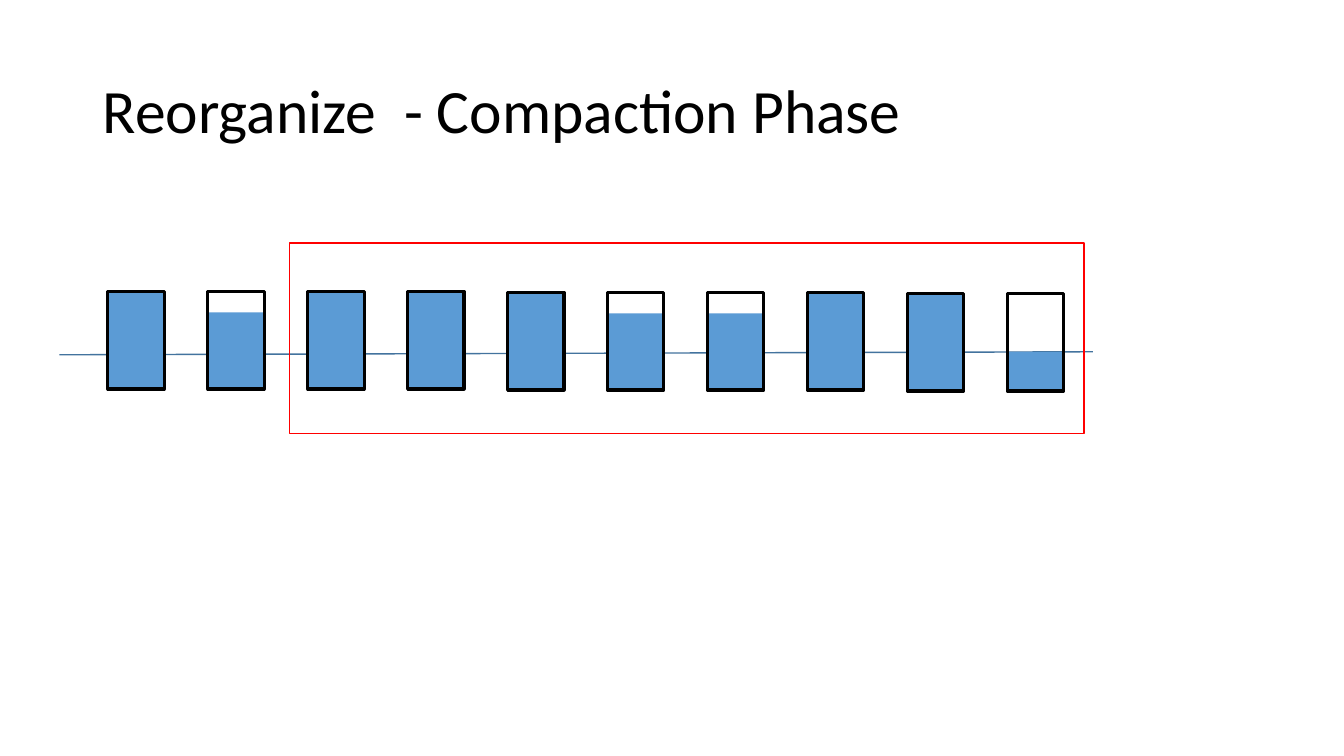
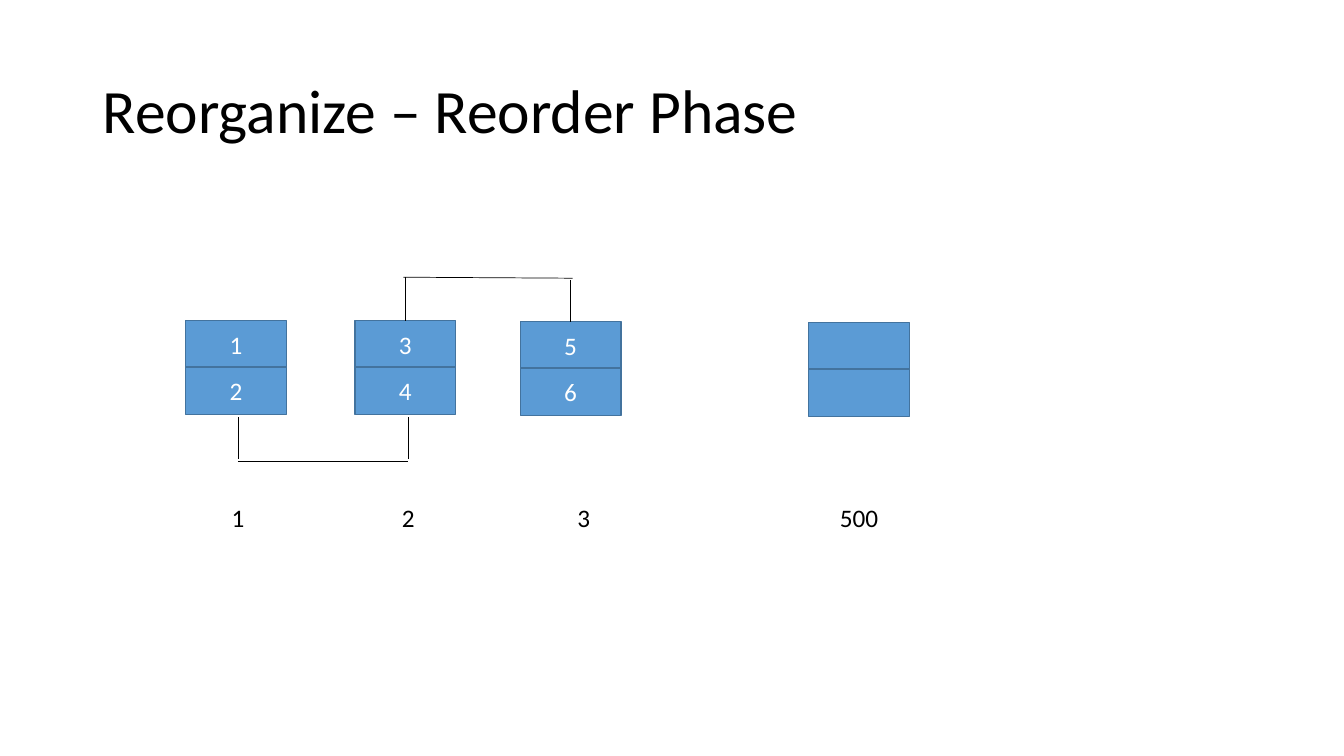
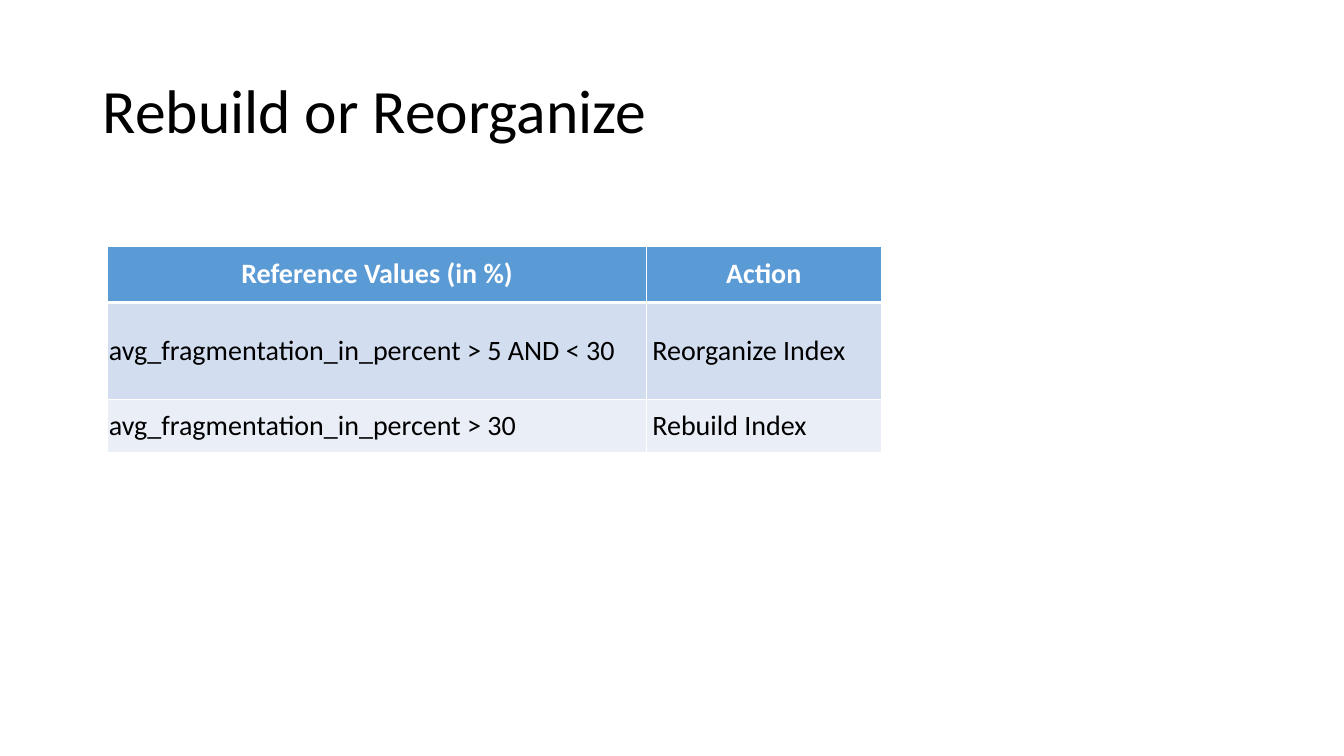
from dataclasses import dataclass

from lxml import etree
from pptx import Presentation
from pptx.dml.color import RGBColor as RGB
from pptx.enum.shapes import MSO_CONNECTOR as CONNECTOR, MSO_SHAPE as SHAPE
from pptx.enum.text import MSO_ANCHOR as ANCHOR, PP_ALIGN as ALIGN
from pptx.oxml.ns import qn
from pptx.util import Inches, Pt


@dataclass(frozen=True)
class Theme:
    font: str = "Calibri"
    title_size: int = 44
    table_size: int = 20
    body_size: int = 18
    black: str = "000000"
    white: str = "FFFFFF"
    blue: str = "5B9BD5"
    edge: str = "43739E"
    red: str = "FF0000"
    bands: tuple = ("D2DEEF", "EAEFF7")


class Deck:
    def __init__(self, theme):
        self.theme = theme
        self.prs = Presentation()
        self.prs.slide_width = Inches(13.33)
        self.prs.slide_height = Inches(7.5)
        self.s = None

    def slide(self, title):
        self.s = self.prs.slides.add_slide(self.prs.slide_layouts[6])
        p = self.text(title, 0.92, 0.4, 11.5, 1.45, self.theme.title_size,
                      align=ALIGN.LEFT, anchor=ANCHOR.MIDDLE)
        p.line_spacing = 0.9

    def add_text(self, p, text, size, color, align, bold=False):
        p.alignment = align
        r = p.add_run()
        r.text = text
        r.font.name = self.theme.font
        r.font.size = Pt(size)
        r.font.bold = bold
        r.font.color.rgb = RGB.from_string(color)

    def text(self, text, left, top, width, height, size,
             align=ALIGN.CENTER, anchor=ANCHOR.TOP):
        sp = self.s.shapes.add_textbox(Inches(left), Inches(top),
                                       Inches(width), Inches(height))
        tf = sp.text_frame
        tf.word_wrap = True
        tf.vertical_anchor = anchor
        p = tf.paragraphs[0]
        self.add_text(p, text, size, self.theme.black, align)
        return p

    def rect(self, left, top, width, height, fill=None, line=None, weight=1, text=""):
        sp = self.s.shapes.add_shape(SHAPE.RECTANGLE, Inches(left), Inches(top),
                                     Inches(width), Inches(height))
        sp.shadow.inherit = False
        if fill:
            sp.fill.solid()
            sp.fill.fore_color.rgb = RGB.from_string(fill)
        else:
            sp.fill.background()
        if line:
            sp.line.color.rgb = RGB.from_string(line)
            sp.line.width = Pt(weight)
        else:
            sp.line.fill.background()
        if text:
            sp.text_frame.vertical_anchor = ANCHOR.MIDDLE
            self.add_text(sp.text_frame.paragraphs[0], text, self.theme.body_size,
                          self.theme.white, ALIGN.CENTER)
        return sp

    def line(self, x1, y1, x2, y2, color, weight):
        cx = self.s.shapes.add_connector(CONNECTOR.STRAIGHT, Inches(x1), Inches(y1),
                                         Inches(x2), Inches(y2))
        cx.line.color.rgb = RGB.from_string(color)
        cx.line.width = Pt(weight)
        etree.SubElement(cx._element.spPr, qn("a:effectLst"))
        return cx

    def borders(self, cell, **weights):
        """Draw white cell borders; weights maps L, R, T and B to points."""
        tc_pr = cell._tc.get_or_add_tcPr()
        for i, side in enumerate("LRTB"):
            ln = etree.Element(qn(f"a:ln{side}"), w=str(Pt(weights.get(side, 1))))
            fill = etree.SubElement(ln, qn("a:solidFill"))
            etree.SubElement(fill, qn("a:srgbClr"), val=self.theme.white)
            tc_pr.insert(i, ln)

    def table(self, left, top, widths, heights, rows):
        t = self.theme
        table = self.s.shapes.add_table(
            len(rows), len(widths), Inches(left), Inches(top),
            Inches(sum(widths)), Inches(sum(heights))).table
        table.horz_banding = False
        for column, width in zip(table.columns, widths):
            column.width = Inches(width)
        for i, (row, height) in enumerate(zip(rows, heights)):
            table.rows[i].height = Inches(height)
            header = i == 0
            for j, text in enumerate(row):
                cell = table.cell(i, j)
                cell.vertical_anchor = ANCHOR.MIDDLE
                cell.margin_right = cell.margin_top = cell.margin_bottom = Inches(0.01)
                cell.margin_left = Inches(0.06 if j and not header else 0.01)
                cell.fill.solid()
                cell.fill.fore_color.rgb = RGB.from_string(
                    t.blue if header else t.bands[(i - 1) % 2])
                self.add_text(cell.text_frame.paragraphs[0], text, t.table_size,
                              t.white if header else t.black,
                              ALIGN.CENTER if header else ALIGN.LEFT, bold=header)
                self.borders(cell, T=3 if i == 1 else 1, B=3 if header else 1)


def compaction_slide(deck):
    t = deck.theme
    deck.slide("Reorganize  - Compaction Phase")
    deck.line(0.59, 3.52, 10.84, 3.49, t.edge, 1)
    width, height = 0.56, 0.97
    full, most, some = height, 0.76, 0.39
    levels = [full, most, full, full, full, most, most, full, full, some]
    first, last = 1.07, 9.99
    pitch = (last - first) / (len(levels) - 1)
    for i, level in enumerate(levels):
        left, top = first + i * pitch, 2.89 + i // 4 * 0.01
        if level < full:
            deck.rect(left, top + height - level, width, level, fill=t.blue)
        deck.rect(left, top, width, height, line=t.black, weight=2.25,
                  fill=t.blue if level == full else None)
    deck.rect(2.87, 2.41, 7.88, 1.89, line=t.red)


def reorder_slide(deck):
    t = deck.theme
    deck.slide("Reorganize – Reorder Phase")
    row_height, label_width = 0.47, 3
    pages = [  # left, top, rows, page number, centre of the number
        (1.84, 3.18, ("1", "2"), "1", 2.36),
        (3.52, 3.18, ("3", "4"), "2", 4.05),
        (5.16, 3.19, ("5", "6"), "3", 5.79),
        (8.02, 3.2, ("", ""), "500", 8.52),
    ]
    upper_rows = []
    for left, top, rows, number, center in pages:
        upper, _ = [deck.rect(left, top + i * (row_height - 0.01), 1, row_height,
                              t.blue, t.edge, text=text)
                    for i, text in enumerate(rows)]
        upper_rows.append(upper)
        deck.text(number, center - label_width / 2, 4.93, label_width, 0.4, t.body_size)

    deck.line(2.36, 4.58, 4.05, 4.58, t.black, 0.5)
    for x in (2.36, 4.05):
        deck.line(x, 4.14, x, 4.55, t.black, 0.5)
    deck.line(4, 2.75, 5.68, 2.76, t.black, 0.5)
    for x, y, row in ((4.02, 2.75, upper_rows[1]), (5.66, 2.78, upper_rows[2])):
        deck.line(x, y, x, 3.18, t.black, 0.5).end_connect(row, 0)


def choice_slide(deck):
    deck.slide("Rebuild or Reorganize")
    deck.table(1.07, 2.44, (5.34, 2.33), (0.56, 0.96, 0.53), [
        ("Reference Values (in %)", "Action"),
        ("avg_fragmentation_in_percent > 5 AND < 30", "Reorganize Index"),
        ("avg_fragmentation_in_percent > 30", "Rebuild Index"),
    ])


def main():
    deck = Deck(Theme())
    compaction_slide(deck)
    reorder_slide(deck)
    choice_slide(deck)
    deck.prs.save("out.pptx")


if __name__ == "__main__":
    main()
